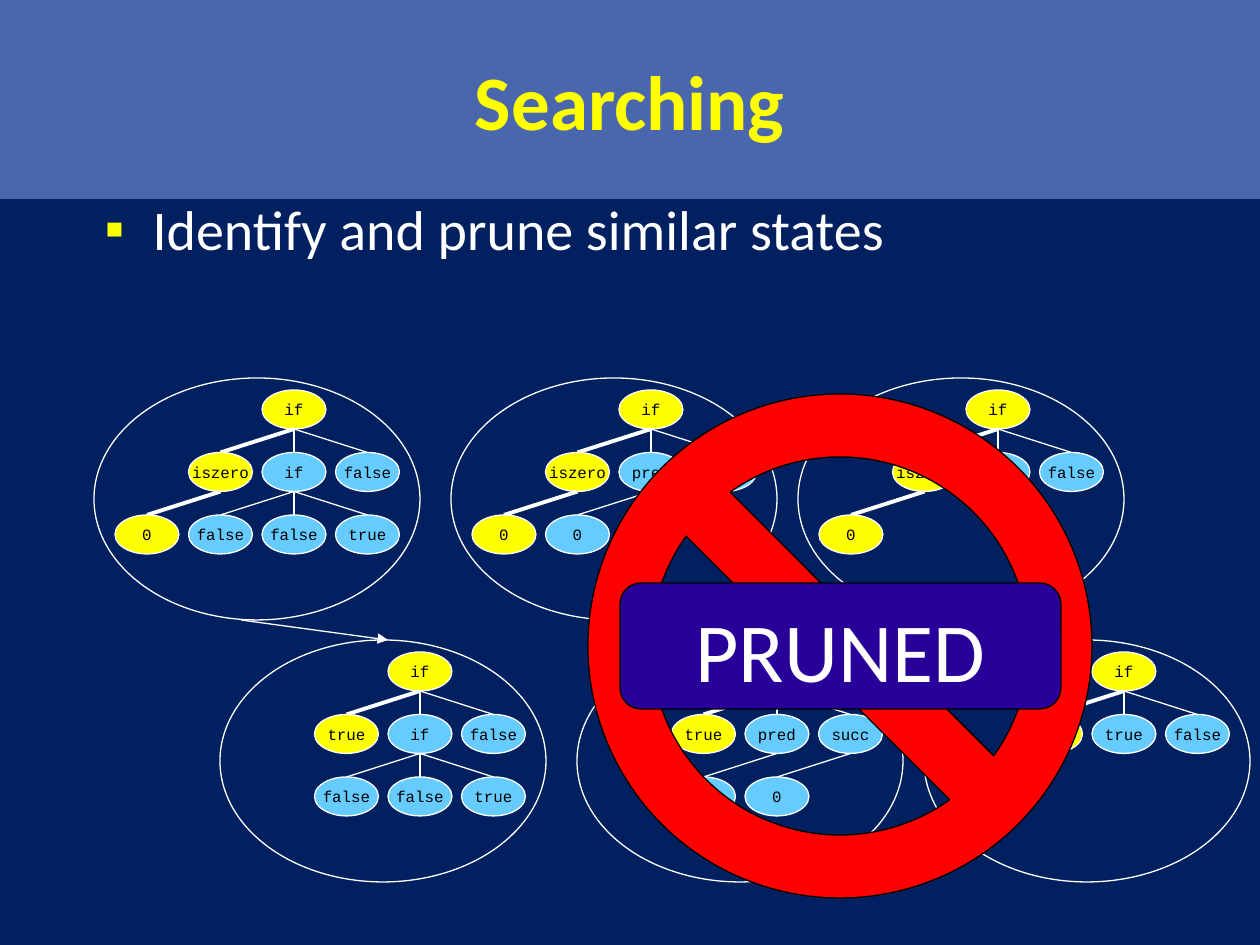
from lxml import etree
from pptx import Presentation
from pptx.dml.color import RGBColor
from pptx.enum.shapes import MSO_CONNECTOR, MSO_SHAPE
from pptx.enum.text import MSO_ANCHOR, PP_ALIGN
from pptx.oxml.ns import qn
from pptx.util import Emu, Pt

PX = 914400 / 126

NAVY = RGBColor(0x00, 0x20, 0x60)
BAND = RGBColor(0x4A, 0x66, 0xAC)
YELLOW = RGBColor(0xFF, 0xFF, 0x00)
SKY = RGBColor(0x66, 0xCC, 0xFF)
RED = RGBColor(0xFF, 0x00, 0x00)
INDIGO = RGBColor(0x28, 0x00, 0x99)
WHITE = RGBColor(0xFF, 0xFF, 0xFF)
BLACK = RGBColor(0x00, 0x00, 0x00)

TITLE = "Searching"
POINT = "Identify and prune similar states"
STAMP = "PRUNED"

# A tree maps (row, column) to (label, colour, parent column); a None label has no oval
ROOT = ("if", YELLOW, None)
TEST = ("iszero", YELLOW, 2)
ZERO = ("0", YELLOW, 1)
SEARCHES = [  # left edge of the first state, tree before the step, tree after it
    (94,
     {(0, 2): ROOT, (1, 1): TEST, (1, 2): ("if", SKY, 2), (1, 3): ("false", SKY, 2),
      (2, 0): ZERO, (2, 1): ("false", SKY, 2), (2, 2): ("false", SKY, 2),
      (2, 3): ("true", SKY, 2)},
     {(0, 2): ROOT, (1, 1): ("true", YELLOW, 2), (1, 2): ("if", SKY, 2),
      (1, 3): ("false", SKY, 2), (2, 1): ("false", SKY, 2),
      (2, 2): ("false", SKY, 2), (2, 3): ("true", SKY, 2)}),
    (451,
     {(0, 2): ROOT, (1, 1): TEST, (1, 2): ("pred", SKY, 2), (1, 3): ("", SKY, 2),
      (2, 0): ZERO, (2, 1): ("0", SKY, 2), (2, 2): ("", SKY, 3)},
     {(0, 2): (None, YELLOW, None), (1, 1): ("true", YELLOW, 2),
      (1, 2): ("pred", SKY, 2), (1, 3): ("succ", SKY, 2),
      (2, 1): ("", SKY, 2), (2, 2): ("0", SKY, 3)}),
    (798,
     {(0, 2): ROOT, (1, 1): TEST, (1, 2): ("true", SKY, 2),
      (1, 3): ("false", SKY, 2), (2, 0): ZERO},
     {(0, 2): ROOT, (1, 1): ("", YELLOW, 2), (1, 2): ("true", SKY, 2),
      (1, 3): ("false", SKY, 2)}),
]
STATE_TOP, STATE_W, STATE_H = 378, 326, 242
STEP_X, STEP_Y = 126, 262
NODE_W, NODE_H = 64, 39
NODE_X, NODE_Y = 21, 12
PITCH_X, PITCH_Y = 73.5, 62.5


def px(*lengths):
    return [Emu(round(length * PX)) for length in lengths]


def write(shape, text, size, color, font="Calibri", bold=False, align=PP_ALIGN.CENTER):
    para = shape.text_frame.paragraphs[0]
    para.alignment = align
    span = para.add_run()
    span.text = text
    span.font.color.rgb = color
    for name, value in {"size": Pt(size), "name": font, "bold": bold}.items():
        setattr(span.font, name, value)


def add_figure(parent, kind, place, fill, line):
    shape = parent.shapes.add_shape(kind, *px(*place))
    shape.shadow.inherit = False
    if fill is None:
        shape.fill.background()
    else:
        shape.fill.solid()
        shape.fill.fore_color.rgb = fill
    shape.line.color.rgb = line
    shape.line.width = Pt(0.75)
    shape.text_frame.word_wrap = False
    shape.text_frame.vertical_anchor = MSO_ANCHOR.MIDDLE
    return shape


def add_line(parent, start, end, width=0.75, arrow=False):
    line = parent.shapes.add_connector(MSO_CONNECTOR.STRAIGHT, *px(*start, *end))
    line.line.color.rgb = WHITE
    line.line.width = Pt(width)
    if arrow:
        etree.SubElement(line.line._get_or_add_ln(), qn("a:tailEnd"), type="triangle")
    etree.SubElement(line._element.spPr, qn("a:effectLst"))


def add_state(parent, left, top, tree):
    def corner(row, column):
        return left + NODE_X + column * PITCH_X, top + NODE_Y + row * PITCH_Y

    for (row, column), (label, color, above) in tree.items():
        x, y = corner(row, column)
        if above is not None:
            upper_x, upper_y = corner(row - 1, above)
            add_line(parent, (upper_x + NODE_W / 2, upper_y + NODE_H),
                     (x + NODE_W / 2, y), 2.25 if color == YELLOW else 0.75)
        if label is not None:
            node = add_figure(parent, MSO_SHAPE.OVAL, (x, y, NODE_W, NODE_H), color, WHITE)
            if label:
                write(node, label, 9, BLACK, "Courier New")
    add_figure(parent, MSO_SHAPE.OVAL, (left, top, STATE_W, STATE_H), None, WHITE)


def place_at(shape, place):
    for name, value in zip(("left", "top", "width", "height"), px(*place)):
        setattr(shape, name, value)


deck = Presentation()
deck.slide_width, deck.slide_height = px(1260, 945)
page = deck.slides.add_slide(deck.slide_layouts[1])
page.background.fill.solid()
page.background.fill.fore_color.rgb = NAVY

# Title band
title = page.shapes.title
place_at(title, (0, 0, 1260, 199))
title.fill.solid()
title.fill.fore_color.rgb = BAND
write(title, TITLE, 44, YELLOW, bold=True)

# Bulleted point
body = page.placeholders[1]
place_at(body, (92, 188, 1143, 314))
point = body.text_frame.paragraphs[0]
point.space_before = Pt(0)
props = point._p.get_or_add_pPr()
indent = px(48)[0]
props.set("marL", str(indent))
props.set("indent", str(-indent))
bullet_color = etree.SubElement(props, qn("a:buClr"))
etree.SubElement(bullet_color, qn("a:srgbClr"), val=str(YELLOW))
etree.SubElement(props, qn("a:buChar"), char="▪")
write(body, POINT, 32, WHITE, align=PP_ALIGN.LEFT)

# Searches, rightmost at the back
for left, before, after in reversed(SEARCHES):
    search = page.shapes.add_group_shape()
    lower_top = STATE_TOP + STEP_Y
    add_state(search, left, STATE_TOP, before)
    add_line(search, (left + 147, STATE_TOP + STATE_H),
             (left + STEP_X + 168, lower_top), arrow=True)
    add_state(search, left + STEP_X, lower_top, after)

# Prohibition sign with its stamp
sign = page.shapes.add_group_shape()
ring = add_figure(sign, MSO_SHAPE.NO_SYMBOL, (588, 394, 504, 504), RED, BLACK)
ring.adjustments[0] = 0.125
stamp = add_figure(sign, MSO_SHAPE.ROUNDED_RECTANGLE, (620, 583, 441, 126), INDIGO, BLACK)
stamp.text_frame.margin_top = px(13)[0]
write(stamp, STAMP, 48, WHITE)

deck.save("out.pptx")
